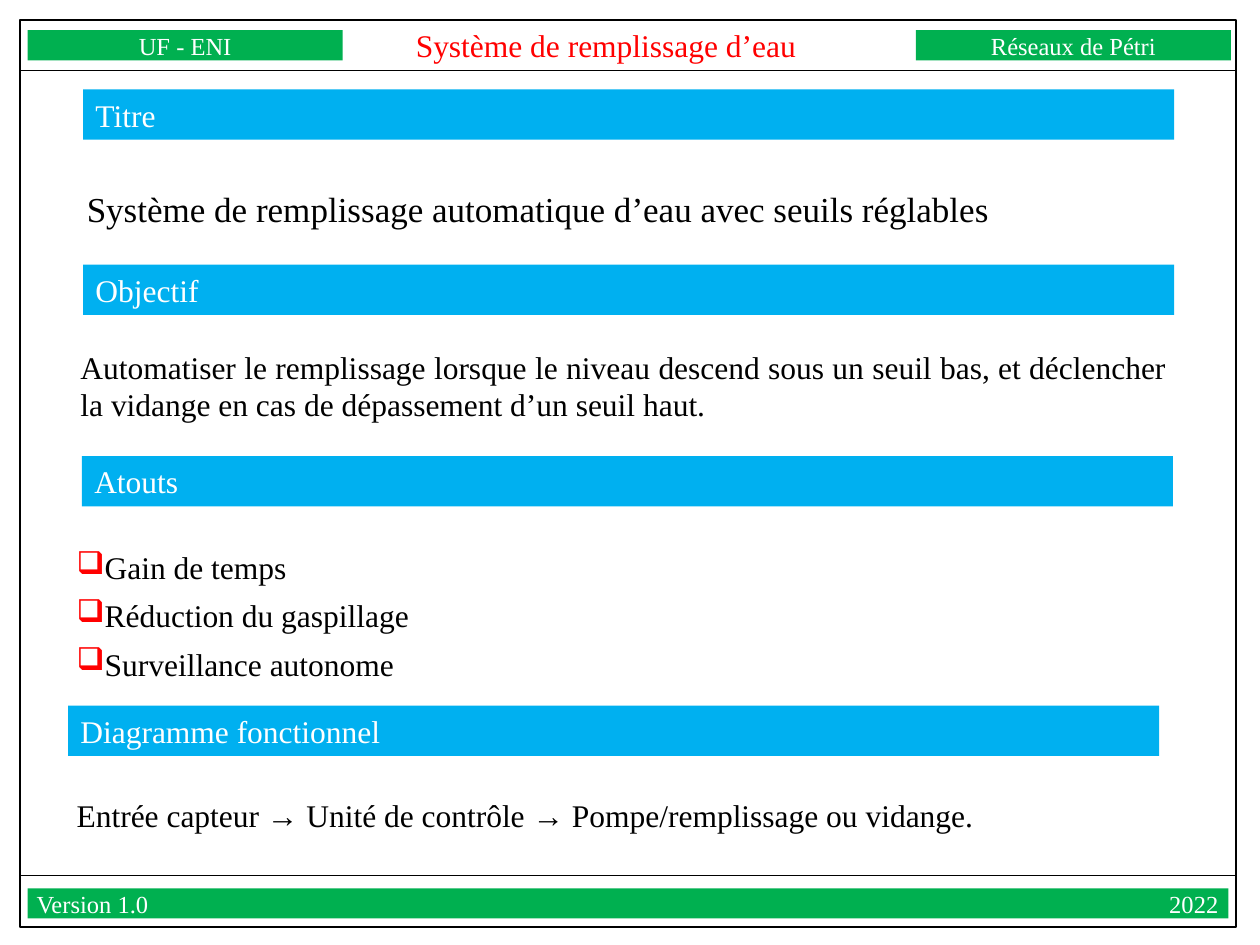
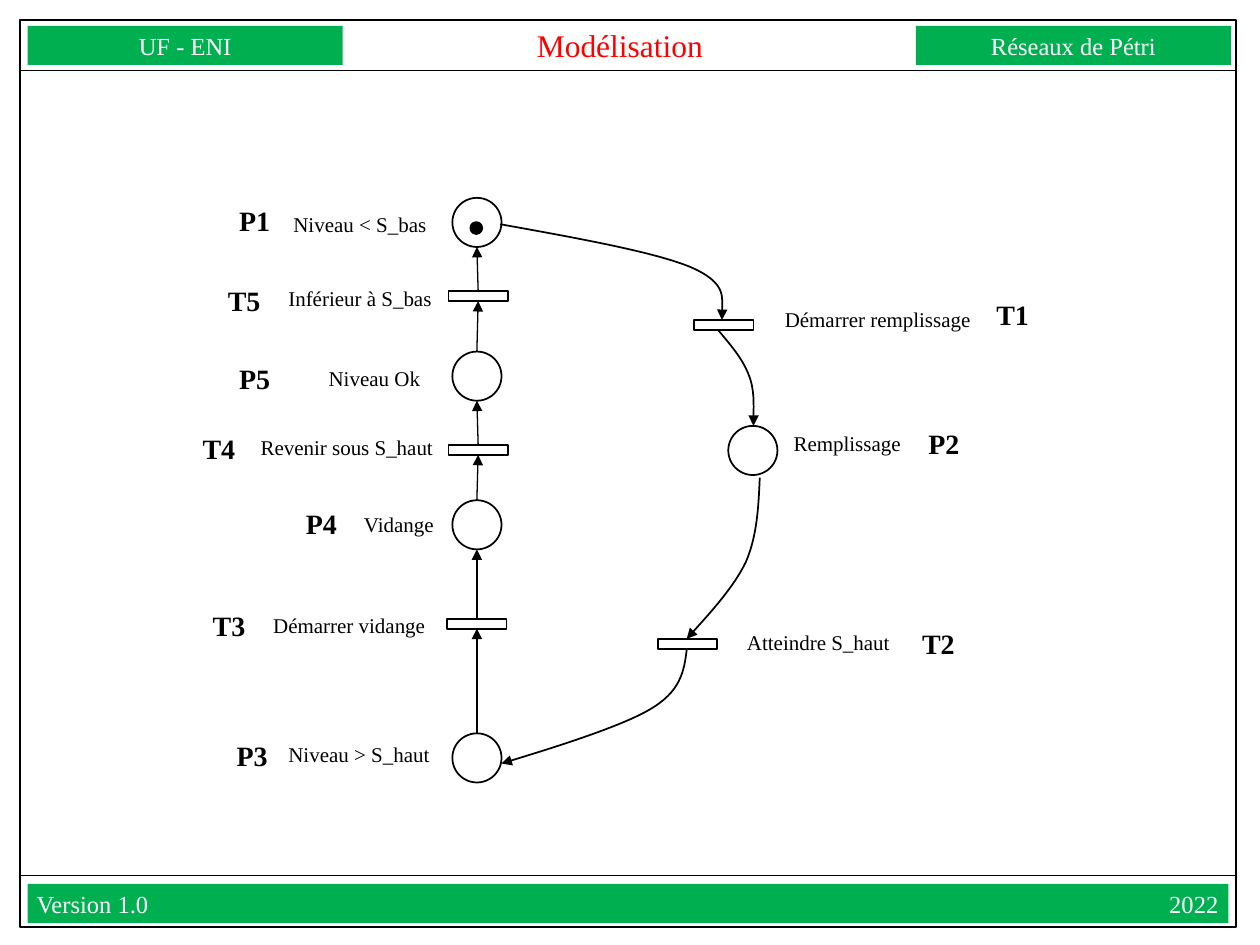
from lxml import etree
from pptx import Presentation
from pptx.dml.color import RGBColor
from pptx.enum.shapes import MSO_CONNECTOR, MSO_SHAPE
from pptx.enum.text import MSO_ANCHOR, PP_ALIGN
from pptx.oxml.ns import qn
from pptx.util import Inches, Pt

RECT, OVAL = MSO_SHAPE.RECTANGLE, MSO_SHAPE.OVAL
STRAIGHT = MSO_CONNECTOR.STRAIGHT
LEFT, CENTER, JUSTIFY = PP_ALIGN.LEFT, PP_ALIGN.CENTER, PP_ALIGN.JUSTIFY
TOP, MIDDLE = MSO_ANCHOR.TOP, MSO_ANCHOR.MIDDLE
FONT = "Times New Roman"
COLORS = {"black": "000000", "white": "FFFFFF", "red": "FF0000",
          "green": "00B050", "blue": "00B0F0"}


def box(page, form, at, text="", size=18, ink="black", align=LEFT,
        fill=None, edge=0, bold=False, flat=False, gap=0):
    """Add a preset shape, or a text box when form is None."""
    area = [Inches(n) for n in at]
    if form is None:
        shape = page.shapes.add_textbox(*area)
    else:
        shape = page.shapes.add_shape(form, *area)
        shape.shadow.inherit = False
    if fill:
        shape.fill.solid()
        shape.fill.fore_color.rgb = RGBColor.from_string(COLORS[fill])
    else:
        shape.fill.background()
    if edge:
        shape.line.width = Pt(edge)
        shape.line.color.rgb = RGBColor.from_string(COLORS["black"])
    else:
        shape.line.fill.background()
    if text:
        frame = shape.text_frame
        frame.text = text
        frame.word_wrap = True
        frame.vertical_anchor = MIDDLE if flat else TOP
        if flat:
            frame.margin_left = frame.margin_right = 0
            frame.margin_top = frame.margin_bottom = 0
        for para in frame.paragraphs:
            para.alignment = align
            para.space_after = Pt(gap)
            for run in para.runs:
                run.font.name, run.font.size = FONT, Pt(size)
                run.font.bold = bold
                run.font.color.rgb = RGBColor.from_string(COLORS[ink])
    return shape


def stroke(line, width, head=False):
    """Draw a line in black without shadow, with an arrowhead if asked."""
    line.line.width = Pt(width)
    line.line.color.rgb = RGBColor.from_string(COLORS["black"])
    props = line._element.spPr
    if head:
        etree.SubElement(props.find(qn("a:ln")), qn("a:tailEnd"), type="triangle")
    etree.SubElement(props, qn("a:effectLst"))


deck = Presentation()
deck.slide_width, deck.slide_height = Inches(10), Inches(7.5)

# Shared frame: title, title left and width, band height
pages = []
for title, left, width, high in [("Système de remplissage d’eau", 3.11, 3.4, 0.24),
                                 ("Modélisation", 3.67, 2.5, 0.31)]:
    page = deck.slides.add_slide(deck.slide_layouts[6])
    pages.append(page)
    box(page, RECT, (0.16, 0.16, 9.65, 7.2), edge=1)
    for y in (0.56, 6.95):
        rule = page.shapes.add_connector(STRAIGHT, Inches(0.16), Inches(y),
                                         Inches(9.8), Inches(y))
        stroke(rule, 0.75)
    for x, label in [(0.22, "UF - ENI"), (7.27, "Réseaux de Pétri")]:
        box(page, RECT, (x, 0.36 - high / 2, 2.5, high), label, 14, "white",
            CENTER, fill="green", flat=True)
    foot = box(page, RECT, (0.22, 7.17 - high / 2, 9.53, high),
               "Version 1.0\t2022", 14, "white", fill="green", flat=True)
    foot.text_frame.margin_left = Inches(0.07)
    props = foot.text_frame.paragraphs[0]._p.get_or_add_pPr()
    tabs = etree.SubElement(props, qn("a:tabLst"))
    etree.SubElement(tabs, qn("a:tab"), pos=str(Inches(9.38)), algn="r")
    box(page, None, (left, 0.2, width, 0.31), title, 18, "red", CENTER, flat=True)

intro, model = pages

# Section headings
for x, y, text in [(0.66, 0.71, "Titre"), (0.66, 2.1, "Objectif"),
                   (0.65, 3.62, "Atouts"), (0.54, 5.6, "Diagramme fonctionnel")]:
    box(intro, RECT, (x, y, 8.66, 0.4), text, 18, "white", JUSTIFY,
        fill="blue", gap=6)

# Section texts
for x, y, high, size, text in [
    (0.59, 1.44, 0.44, 20,
     "Système de remplissage automatique d’eau avec seuils réglables"),
    (0.54, 2.71, 0.71, 18,
     "Automatiser le remplissage lorsque le niveau descend sous un seuil bas, "
     "et déclencher la vidange en cas de dépassement d’un seuil haut."),
    (0.51, 6.27, 0.4, 18,
     "Entrée capteur → Unité de contrôle → Pompe/remplissage ou vidange."),
]:
    box(intro, None, (x, y, 8.82, high), text, size, align=JUSTIFY, gap=6)

# Bulleted benefits
perks = box(intro, None, (0.51, 4.3, 8.82, 1.57),
            "Gain de temps\nRéduction du gaspillage\nSurveillance autonome",
            align=JUSTIFY, gap=6)
for para in perks.text_frame.paragraphs:
    props = para._p.get_or_add_pPr()
    props.set("marL", str(Inches(0.22)))
    props.set("indent", str(-Inches(0.22)))
    tint = etree.SubElement(props, qn("a:buClr"))
    etree.SubElement(tint, qn("a:srgbClr"), val=COLORS["red"])
    etree.SubElement(props, qn("a:buChar"), char="❑")

# Petri net nodes: left, top, name and its place, label and its place and width
# The first seven form the left column, from bottom to top
nodes = [
    (3.59, 5.82, "P3", 1.78, 5.81, "Niveau > S_haut", 2.19, 5.84, 1.75),
    (3.55, 4.91, "T3", 1.59, 4.78, "Démarrer vidange", 2.07, 4.81, 1.47),
    (3.59, 3.97, "P4", 2.33, 3.97, "Vidange", 2.79, 4.01, 0.81),
    (3.56, 3.53, "T4", 1.51, 3.38, "Revenir sous S_haut", 1.97, 3.4, 1.57),
    (3.59, 2.79, "P5", 1.8, 2.82, "Niveau Ok", 2.51, 2.85, 1.09),
    (3.56, 2.31, "T5", 1.71, 2.2, "Inférieur à S_bas", 2.19, 2.22, 1.36),
    (3.59, 1.57, "P1", 1.8, 1.57, "Niveau < S_bas", 2.23, 1.63, 1.31),
    (5.51, 2.54, "T1", 7.81, 2.31, "Démarrer remplissage", 6.13, 2.38, 2.28),
    (5.78, 3.38, "P2", 7.27, 3.34, "Remplissage", 6.2, 3.37, 1.34),
    (5.22, 5.07, "T2", 7.22, 4.92, "Atteindre S_haut", 5.83, 4.95, 1.75),
]
spots = []
for x, y, name, nx, ny, label, lx, ly, width in nodes:
    place = name.startswith("P")
    form, wide, high = (OVAL, 0.39, 0.39) if place else (RECT, 0.47, 0.08)
    box(model, form, (x, y, wide, high), edge=1)
    box(model, None, (nx, ny, 0.47, 0.37), name, 16, bold=True)
    box(model, None, (lx, ly, width, 0.3), label, 12)
    spots.append((x + wide / 2, y, y + high))

# Token in P1
box(model, OVAL, (3.74, 1.77, 0.08, 0.08), fill="black", edge=2)

# Straight arrows up the left column
column = spots[:7]
for (x1, top, _), (x2, _, base) in zip(column, column[1:]):
    arrow = model.shapes.add_connector(STRAIGHT, Inches(x1), Inches(top),
                                       Inches(x2), Inches(base))
    stroke(arrow, 0.75, head=True)

# Curved arrows: start, then two Bézier pieces of three points each
curves = [
    [(3.97, 1.78), (4.58, 1.89), (5.19, 2), (5.48, 2.12),
     (5.78, 2.25), (5.73, 2.54), (5.73, 2.54)],
    [(5.7, 2.62), (5.79, 2.73), (5.89, 2.84), (5.94, 2.97),
     (5.99, 3.09), (5.98, 3.38), (5.98, 3.38)],
    [(6.03, 3.79), (6.02, 4.02), (6.01, 4.25), (5.92, 4.46),
     (5.82, 4.67), (5.45, 5.07), (5.45, 5.07)],
    [(5.45, 5.16), (5.43, 5.33), (5.4, 5.49), (5.16, 5.63),
     (4.91, 5.78), (3.98, 6.06), (3.98, 6.06)],
]
for curve in curves:
    points = [(Inches(x), Inches(y)) for x, y in curve]
    pen = model.shapes.build_freeform(*points[0])
    pen.add_line_segments(points[1:], close=False)
    arc = pen.convert_to_shape()
    arc.fill.background()
    stroke(arc, 1, head=True)
    steps = list(arc._element.iter(qn("a:lnTo")))
    track = steps[0].getparent()
    for i in range(0, len(steps), 3):
        bend = etree.SubElement(track, qn("a:cubicBezTo"))
        for step in steps[i:i + 3]:
            bend.append(step[0])
            track.remove(step)

deck.save("out.pptx")
